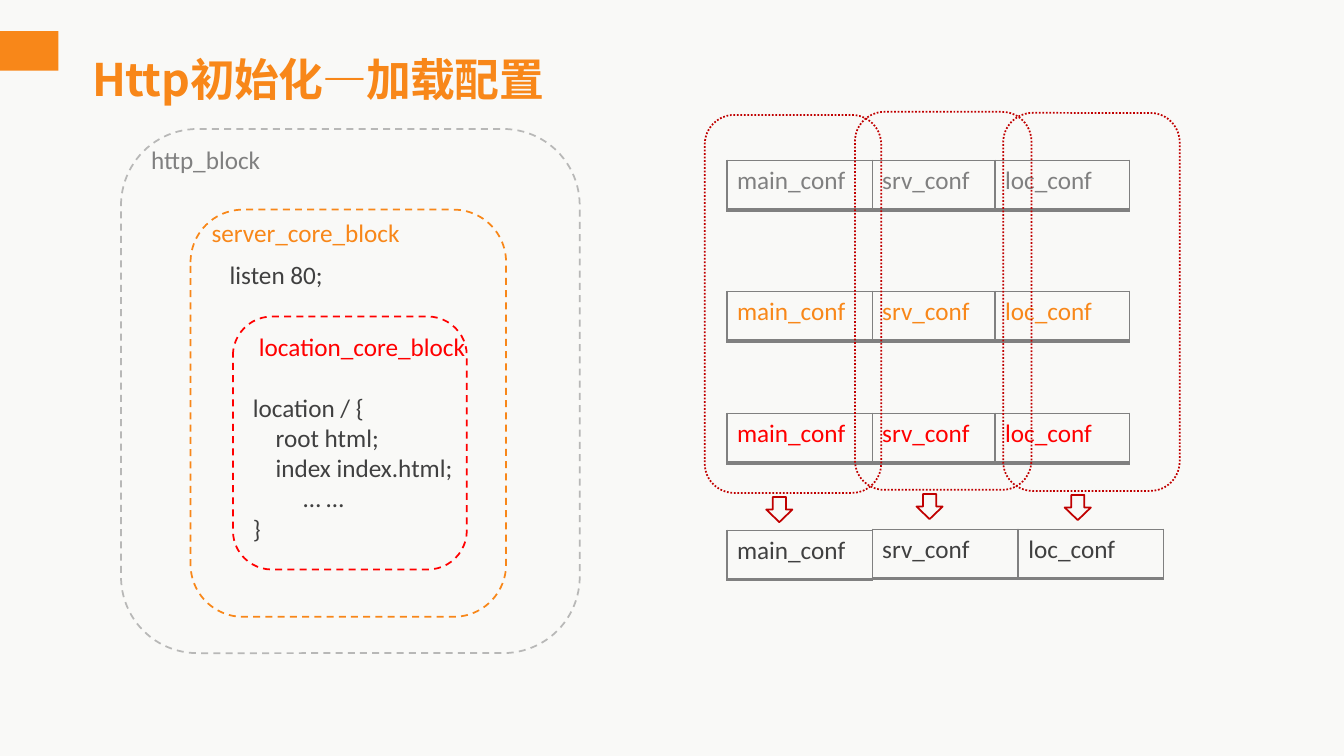
from lxml import etree
from pptx import Presentation
from pptx.dml.color import RGBColor
from pptx.enum.dml import MSO_LINE
from pptx.enum.shapes import MSO_SHAPE
from pptx.enum.text import MSO_ANCHOR, MSO_AUTO_SIZE
from pptx.oxml.ns import qn
from pptx.util import Inches, Pt

RECT = MSO_SHAPE.RECTANGLE
ROUND = MSO_SHAPE.ROUNDED_RECTANGLE
ARROW = MSO_SHAPE.DOWN_ARROW
DASH = MSO_LINE.DASH
DOTS = MSO_LINE.ROUND_DOT
BOTTOM = MSO_ANCHOR.BOTTOM
GROW = MSO_AUTO_SIZE.SHAPE_TO_FIT_TEXT

PAPER = RGBColor(0xF9, 0xF9, 0xF7)
ORANGE = RGBColor(0xF8, 0x87, 0x19)
SILVER = RGBColor(0xB8, 0xB8, 0xB7)
GRAY = RGBColor(0x80, 0x80, 0x80)
DARK = RGBColor(0x40, 0x40, 0x40)
RED = RGBColor(0xFF, 0, 0)
CRIMSON = RGBColor(0xC0, 0, 0)

LATIN = "Calibri"
HAN = "Noto Sans CJK SC"
BODY = {"size": Pt(18), "name": LATIN}
HEAD = {"size": Pt(32), "name": HAN, "bold": True}
CONFS = ["main_conf", "srv_conf", "loc_conf"]
CODE = ["location / {", "    root html;", "    index index.html;", "\t… …", "}"]
BORDERS = {"a:lnL": 1, "a:lnR": 1, "a:lnT": 1, "a:lnB": 3}


def style(target, values):
    for key, value in values.items():
        setattr(target, key, value)


def paint(fill, color):
    fill.solid()
    fill.fore_color.rgb = color


def write(para, text, color, values):
    run = para.add_run()
    run.text = text
    style(run.font, values)
    run.font.color.rgb = color
    return run


def add_shape(slide, kind, box, fill=None, line=None, dash=None):
    shape = slide.shapes.add_shape(kind, *map(Inches, box))
    shape.shadow.inherit = False
    if fill is None:
        shape.fill.background()
    else:
        paint(shape.fill, fill)
    if line is None:
        shape.line.fill.background()
    else:
        shape.line.color.rgb = line
        style(shape.line, {"width": Pt(1.25), "dash_style": dash})


def add_text(slide, box, lines, color):
    frame = slide.shapes.add_textbox(*map(Inches, box)).text_frame
    style(frame, {"word_wrap": True, "auto_size": GROW})
    for index, text in enumerate(lines):
        para = frame.add_paragraph() if index else frame.paragraphs[0]
        write(para, text, color, BODY)


def add_title(slide, text):
    box = map(Inches, (0.82, 0.46, 4.93, 0.64))
    frame = slide.shapes.add_textbox(*box).text_frame
    style(frame, {"word_wrap": True, "vertical_anchor": BOTTOM})
    para = frame.paragraphs[0]
    para.line_spacing = 0.85
    props = write(para, text, ORANGE, HEAD).font._element
    props.set("spc", "-50")
    east = etree.Element(qn("a:ea"), typeface=HAN)
    props.find(qn("a:latin")).addnext(east)


def add_edges(cell):
    props = cell._tc.get_or_add_tcPr()
    for tag, width in BORDERS.items():
        edge = etree.SubElement(props, qn(tag), w=str(Pt(width)))
        fill = etree.SubElement(edge, qn("a:solidFill"))
        etree.SubElement(fill, qn("a:srgbClr"), val=str(GRAY))


def add_row(slide, left, top, widths, names, color):
    box = map(Inches, (left, top, sum(widths), 0.49))
    table = slide.shapes.add_table(1, len(names), *box).table
    style(table, {"first_row": False, "horz_banding": False})
    for index, (width, name) in enumerate(zip(widths, names)):
        table.columns[index].width = Inches(width)
        cell = table.cell(0, index)
        add_edges(cell)
        paint(cell.fill, PAPER)
        write(cell.text_frame.paragraphs[0], name, color, BODY)


def add_blocks(slide):
    for box, color in [
        ((1.2, 1.28, 4.55, 5.2), SILVER),
        ((1.89, 2.08, 3.13, 4.04), ORANGE),
        ((2.31, 3.14, 2.32, 2.51), RED),
    ]:
        add_shape(slide, ROUND, box, line=color, dash=DASH)
    for box, lines, color in [
        ((2.47, 3.24, 2.53, 0.4), ["location_core_block"], RED),
        ((2, 2.11, 2.39, 0.4), ["server_core_block"], ORANGE),
        ((1.4, 1.38, 1.54, 0.4), ["http_block"], GRAY),
        ((2.41, 3.84, 2.49, 1.62), CODE, DARK),
        ((2.18, 2.52, 1.48, 0.4), ["listen 80;"], DARK),
    ]:
        add_text(slide, box, lines, color)


def add_merge(slide):
    for top, color in [(1.59, GRAY), (2.89, ORANGE), (4.1, RED)]:
        add_row(slide, 7.21, top, [1.44, 1.22, 1.33], CONFS, color)
    spots = [(7.21, 5.26, 6.99, 1.14), (8.65, 5.25, 8.48, 1.11),
             (10.1, 5.25, 9.95, 1.12)]
    for name, (cell, base, left, top) in zip(CONFS, spots):
        add_row(slide, cell, base, [1.44], [name], DARK)
        add_shape(slide, ROUND, (left, top, 1.75, 3.75), line=CRIMSON, dash=DOTS)
        add_shape(slide, ARROW, (left + 0.61, top + 3.79, 0.26, 0.25), PAPER, CRIMSON)


def main():
    deck = Presentation()
    style(deck, {"slide_width": Inches(13.33), "slide_height": Inches(7.5)})
    slide = deck.slides.add_slide(deck.slide_layouts[6])
    paint(slide.background.fill, PAPER)
    add_shape(slide, RECT, (0, 0.31, 0.58, 0.39), ORANGE)
    add_title(slide, "Http初始化—加载配置")
    add_blocks(slide)
    add_merge(slide)
    deck.save("out.pptx")


if __name__ == "__main__":
    main()
